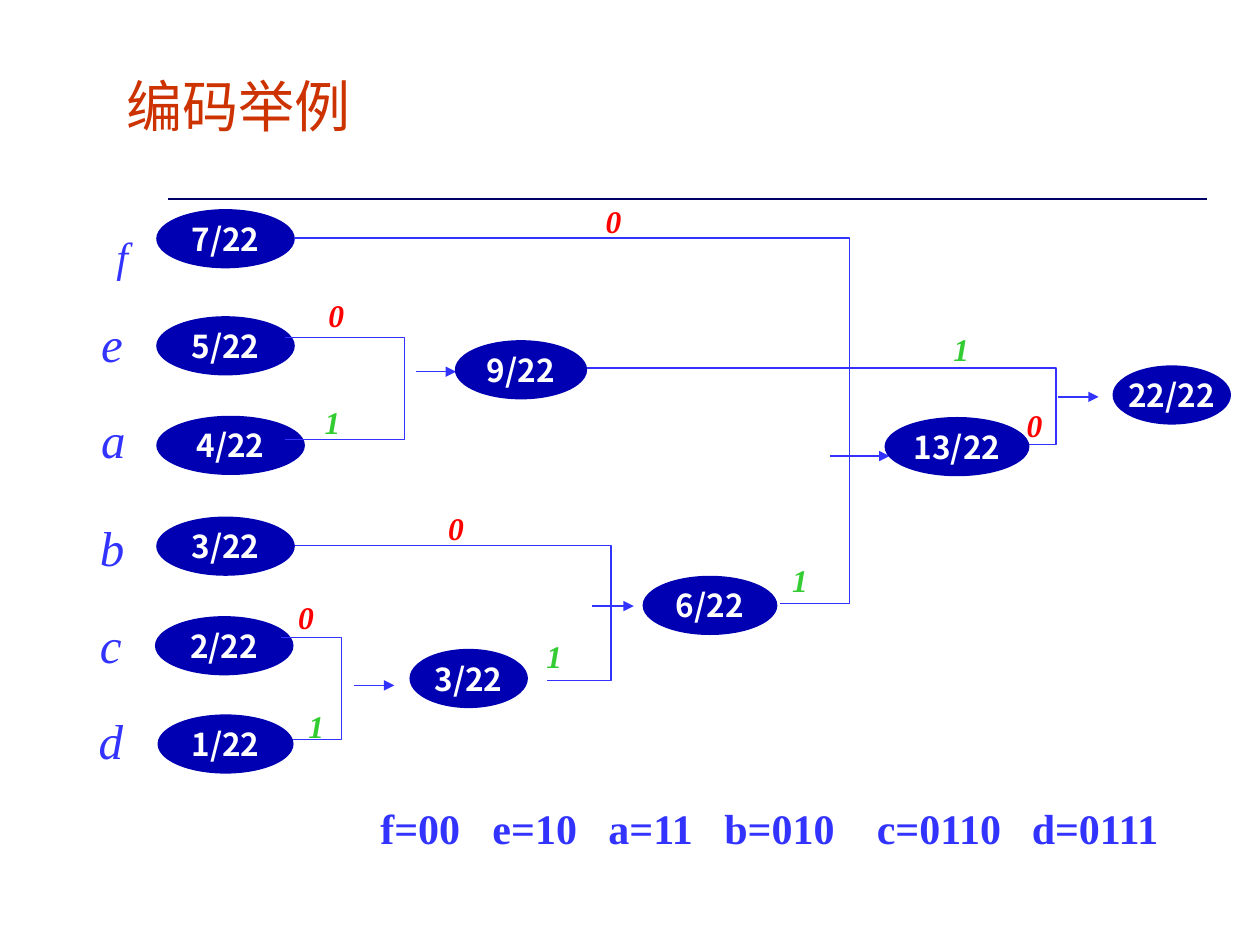
from lxml import etree
from pptx import Presentation
from pptx.dml.color import RGBColor
from pptx.enum.shapes import MSO_CONNECTOR, MSO_SHAPE
from pptx.enum.text import MSO_ANCHOR, MSO_AUTO_SIZE, PP_ALIGN
from pptx.oxml.ns import qn
from pptx.util import Inches, Pt

STRAIGHT, OVAL = MSO_CONNECTOR.STRAIGHT, MSO_SHAPE.OVAL
MIDDLE, NO_FIT = MSO_ANCHOR.MIDDLE, MSO_AUTO_SIZE.NONE
LEFT, CENTER = PP_ALIGN.LEFT, PP_ALIGN.CENTER

COLORS = {"title": "CC3300", "rule": "000066", "ink": "3333FF", "node": "0000B2",
          "white": "FFFFFF", "0": "FF0000", "1": "33CC33"}
SERIF, SANS = "Times New Roman", "Noto Sans CJK SC"
NODE_H = 0.47


def rgb(name):
    return RGBColor.from_string(COLORS[name])


class TreeSlide:
    """Holds the slide and draws the parts of the coding tree."""

    def __init__(self, prs):
        self.s = prs.slides.add_slide(prs.slide_layouts[5])

    def set_text(self, sp, text, size, color, font=SERIF, align=CENTER,
                 bold=False, italic=False, wrap=False, tabs=()):
        tf = sp.text_frame
        tf.auto_size, tf.word_wrap, tf.vertical_anchor = NO_FIT, wrap, MIDDLE
        p = tf.paragraphs[0]
        p.text, p.alignment = text, align
        if tabs:
            tab_list = etree.SubElement(p._p.get_or_add_pPr(), qn("a:tabLst"))
            for pos in tabs:
                etree.SubElement(tab_list, qn("a:tab"), pos=str(Inches(pos)), algn="l")
        f = p.font
        f.name, f.size, f.bold, f.italic = font, Pt(size), bold, italic
        f.color.rgb = rgb(color)

    def title(self, text, x, y, w, h):
        sp = self.s.shapes.title
        sp.left, sp.top, sp.width, sp.height = map(Inches, (x, y, w, h))
        self.set_text(sp, text, 32, "title", align=LEFT, wrap=True)

    def text(self, text, x, y, w, h, size, color, **style):
        sp = self.s.shapes.add_textbox(*map(Inches, (x, y, w, h)))
        self.set_text(sp, text, size, color, **style)

    def label(self, text, cx, cy, size, color, bold=False):
        w, h = 0.7, 0.36
        self.text(text, cx - w / 2, cy - h / 2, w, h, size, color, bold=bold, italic=True)

    def node(self, text, x, y, w):
        sp = self.s.shapes.add_shape(OVAL, *map(Inches, (x, y, w, NODE_H)))
        sp.shadow.inherit = False
        sp.fill.solid()
        sp.fill.fore_color.rgb = rgb("node")
        sp.line.fill.background()
        self.set_text(sp, text, 18, "white", font=SANS, bold=True)

    def line(self, x1, x2, y, color="ink", width=0.75, arrow=False):
        c = self.s.shapes.add_connector(STRAIGHT, *map(Inches, (x1, y, x2, y)))
        c.line.color.rgb, c.line.width = rgb(color), Pt(width)
        etree.SubElement(c._element.spPr, qn("a:effectLst"))
        if arrow:
            ln = c._element.spPr.find(qn("a:ln"))
            etree.SubElement(ln, qn("a:tailEnd"), type="triangle")

    def bracket(self, x1, y1, x_bar, x2, y2):
        points = [(Inches(x), Inches(y)) for x, y in
                  ((x1, y1), (x_bar, y1), (x_bar, y2), (x2, y2))]
        fb = self.s.shapes.build_freeform(*points[0])
        fb.add_line_segments(points[1:], close=False)
        sp = fb.convert_to_shape()
        sp.shadow.inherit = False
        sp.fill.background()
        sp.line.color.rgb, sp.line.width = rgb("ink"), Pt(0.75)


def main():
    prs = Presentation()
    prs.slide_width, prs.slide_height = Inches(10), Inches(7.5)
    tree = TreeSlide(prs)

    # Heading
    tree.line(1.33, 9.58, 1.58, "rule", 1.5)
    tree.title("编码举例", 0.9, 0.52, 3.62, 0.63)

    # Symbols
    for symbol, cx, cy, size in [("f", 0.97, 2.03, 24), ("e", 0.89, 2.72, 28),
                                 ("a", 0.9, 3.48, 28), ("b", 0.89, 4.34, 28),
                                 ("c", 0.88, 5.11, 28), ("d", 0.88, 5.87, 28)]:
        tree.label(symbol, cx, cy, size, "ink")

    # Leaves that lie under their branches
    for leaf in [("7/22", 1.24, 1.66, 1.1), ("5/22", 1.24, 2.51, 1.1),
                 ("4/22", 1.24, 3.3, 1.18), ("2/22", 1.23, 4.89, 1.1)]:
        tree.node(*leaf)

    # Branches: start, bar position, end
    for branch in [(2.23, 5.06, 2.71, 2.23, 5.87), (2.33, 1.89, 6.74, 6.19, 4.79),
                   (2.33, 4.33, 4.85, 4.34, 5.4), (2.26, 2.68, 3.21, 2.26, 3.49),
                   (4.59, 2.92, 8.38, 7.99, 3.53)]:
        tree.bracket(*branch)

    # Arrows to the merged nodes
    for x1, x2, y in [(2.81, 3.13, 5.44), (4.7, 5.03, 4.81), (3.3, 3.62, 2.95),
                      (6.59, 7.06, 3.62), (8.4, 8.72, 3.15)]:
        tree.line(x1, x2, y, arrow=True)

    # Code bits on the branches
    for bit, cx, cy in [("0", 4.87, 1.75), ("1", 6.35, 4.6), ("0", 2.67, 2.5),
                        ("1", 2.64, 3.35), ("0", 3.62, 4.19), ("1", 4.4, 5.21),
                        ("0", 2.43, 4.9), ("1", 2.51, 5.76), ("1", 7.63, 2.77),
                        ("0", 8.21, 3.37)]:
        tree.label(bit, cx, cy, 18, bit, bold=True)

    # Remaining leaves and merged nodes
    for node in [("1/22", 1.25, 5.67, 1.08), ("3/22", 3.25, 5.15, 0.94),
                 ("6/22", 5.1, 4.57, 1.07), ("22/22", 8.83, 2.9, 0.94),
                 ("13/22", 7.02, 3.31, 1.15), ("9/22", 3.61, 2.7, 1.05),
                 ("3/22", 1.24, 4.1, 1.1)]:
        tree.node(*node)

    # Resulting codes
    codes = ["f=00", "e=10", "a=11", "b=010", "c=0110", "d=0111"]
    tree.text("\t".join(codes), 2.92, 6.32, 6.48, 0.5, 24, "ink", align=LEFT,
              bold=True, wrap=True, tabs=(0.89, 1.81, 2.73, 3.94, 5.17))

    prs.save("out.pptx")


if __name__ == "__main__":
    main()
